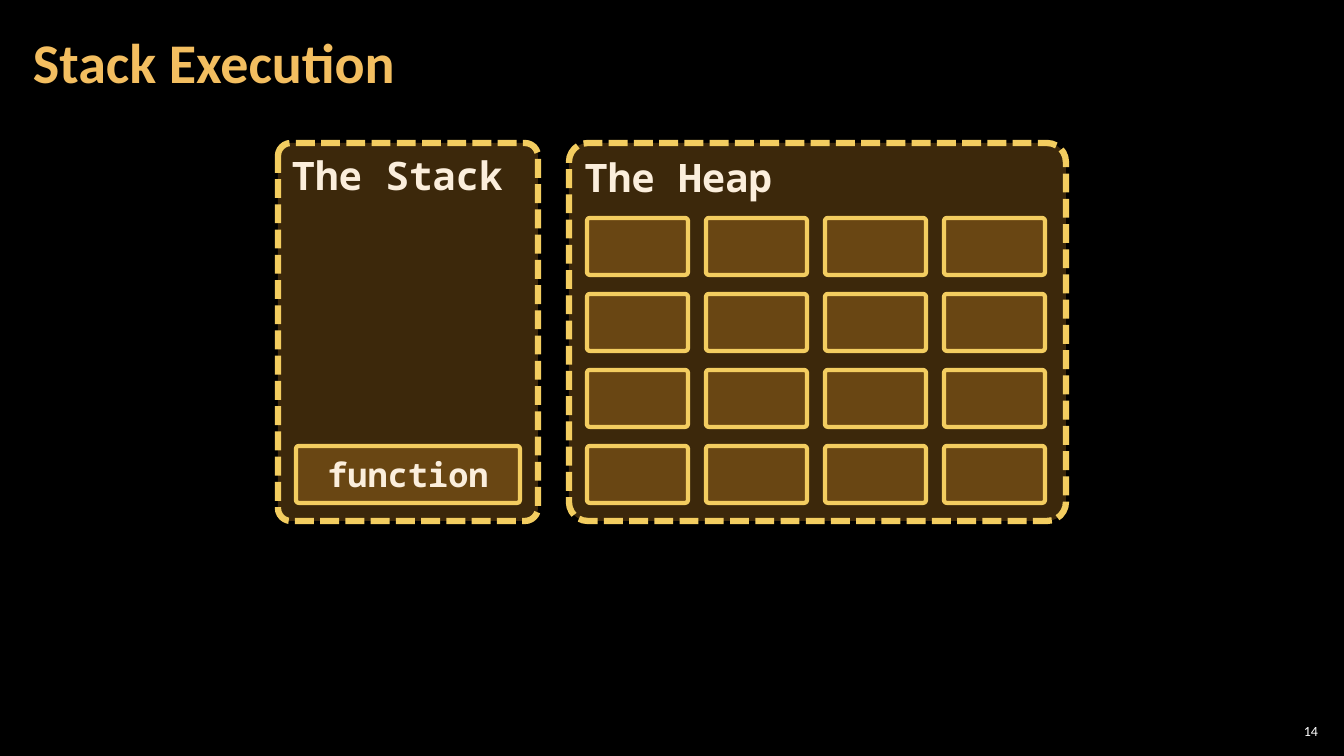
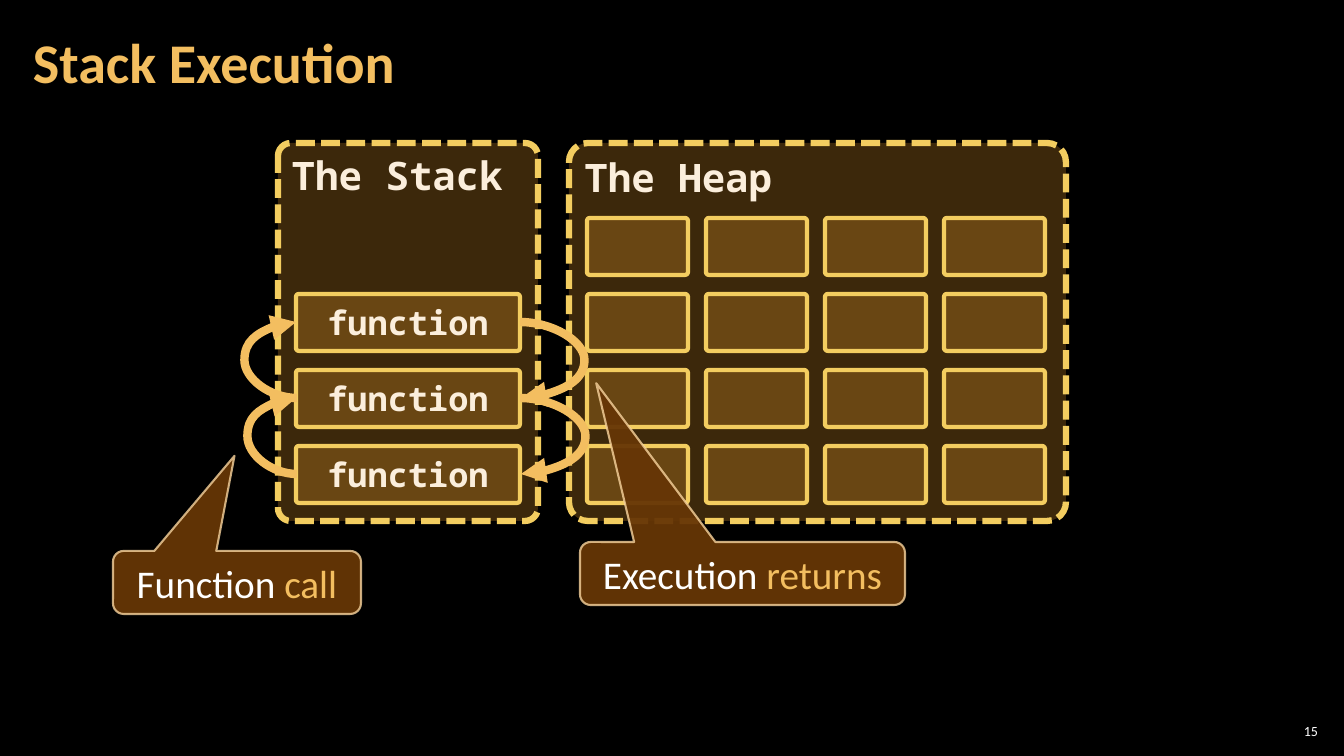
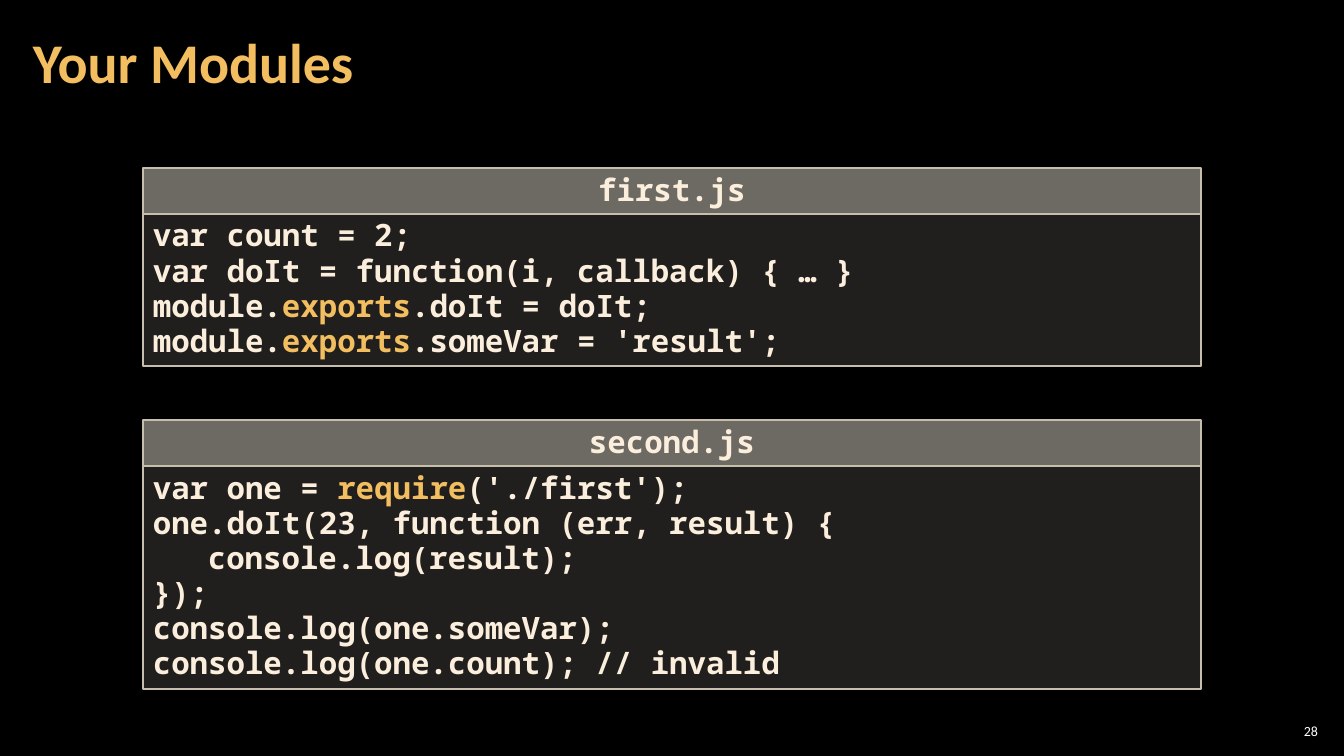
import pptx
import pptx.dml.color
import pptx.enum.dml
import pptx.enum.shapes
import pptx.enum.text
import pptx.oxml.ns
import pptx.util
from lxml import etree

RGB = pptx.dml.color.RGBColor
Pt = pptx.util.Pt
KIND = pptx.enum.shapes.MSO_SHAPE
ALIGN = pptx.enum.text.PP_ALIGN
ANCHOR = pptx.enum.text.MSO_ANCHOR
FIT = pptx.enum.text.MSO_AUTO_SIZE
qn = pptx.oxml.ns.qn

BLACK = RGB(0x00, 0x00, 0x00)
WHITE = RGB(0xFF, 0xFF, 0xFF)
GOLD = RGB(0xF3, 0xBE, 0x60)
CREAM = RGB(0xFB, 0xEE, 0xDC)
AMBER = RGB(0xF0, 0xA2, 0x2E)
YELLOW = RGB(0xF3, 0xCD, 0x60)
BROWN = RGB(0x66, 0x36, 0x06)
SAND = RGB(0xF8, 0xD4, 0x9E)
STONE = RGB(0xD9, 0xD5, 0xC7)
EDGE = RGB(0xC7, 0xBF, 0xAC)

SANS = "Calibri"
MONO = "Noto Sans Mono"

WIDE, HIGH = 1344, 756
SCALE = 12192000 / WIDE

# Memory grid, in px
ROW_TOP, ROW_STEP, BOX_HIGH = 218, 76, 57
COL_LEFT, COL_STEP, CELL_WIDE = 587, 119, 101
CALL_LEFT, CALL_WIDE = 296, 224
ROWS = COLS = 4

FIRST = [
    ("var count = 2;",),
    ("var doIt = function(i, callback) { … }",),
    ("module.", "exports", ".doIt = doIt;"),
    ("module.", "exports", ".someVar = 'result';"),
]
SECOND = [
    ("var one = ", "require", "('./first');"),
    ("one.doIt(23, function (err, result) {",),
    ("console.log(result);",),
    ("});",),
    ("console.log(one.someVar);",),
    ("console.log(one.count); // invalid",),
]


def px(num):
    return round(num * SCALE)


def box(*sizes):
    return [px(num) for num in sizes]


def fade(node, share):
    """Set the opacity, in percent, of the colours inside node."""
    for tint in node.iter(qn("a:srgbClr")):
        etree.SubElement(tint, qn("a:alpha"), val=str(share * 1000))


def write(frame, lines, font, size, color, bold=False, align=ALIGN.LEFT, space=None):
    """Write each line from its pieces; every second piece is gold."""
    for row, line in enumerate(lines):
        para = frame.paragraphs[0] if row == 0 else frame.add_paragraph()
        para.alignment = align
        if space:
            para.line_spacing = space
        for spot, piece in enumerate(line):
            run = para.add_run()
            run.text = piece
            run.font.name = font
            run.font.size = Pt(size)
            run.font.bold = bold
            run.font.color.rgb = GOLD if spot % 2 else color


def inset(frame, side, top):
    frame.margin_left = frame.margin_right = px(side)
    frame.margin_top = frame.margin_bottom = px(top)


def panel(slide, kind, place, fill, share, edge, width, bends=()):
    shape = slide.shapes.add_shape(kind, *box(*place))
    shape.shadow.inherit = False
    shape.fill.solid()
    shape.fill.fore_color.rgb = fill
    fade(shape._element.spPr.find(qn("a:solidFill")), share)
    shape.line.color.rgb = edge
    shape.line.width = Pt(width)
    for spot, bend in enumerate(bends):
        shape.adjustments[spot] = bend
    shape.text_frame.vertical_anchor = ANCHOR.TOP
    return shape


def region(slide, left, wide, name):
    place = (left, 143, wide, 378)
    shape = panel(slide, KIND.ROUNDED_RECTANGLE, place, AMBER, 25, YELLOW, 4.5, [0.05])
    shape.line.dash_style = pptx.enum.dml.MSO_LINE.SQUARE_DOT
    write(shape.text_frame, [(name,)], MONO, 28, CREAM, True)


def slot(slide, left, row, wide):
    place = (left, ROW_TOP + row * ROW_STEP, wide, BOX_HIGH)
    return panel(slide, KIND.ROUNDED_RECTANGLE, place, AMBER, 25, YELLOW, 3, [0.05])


def memory(slide, calls):
    """Draw the heap and a stack that holds the given number of calls."""
    region(slide, 278, 260, "The Stack")
    for row in range(ROWS - calls, ROWS):
        frame = slot(slide, CALL_LEFT, row, CALL_WIDE).text_frame
        frame.vertical_anchor = ANCHOR.MIDDLE
        write(frame, [("function",)], MONO, 24, CREAM, True, ALIGN.CENTER)
    region(slide, 569, 497, "The Heap")
    for row in range(ROWS):
        for col in range(COLS):
            slot(slide, COL_LEFT + col * COL_STEP, row, CELL_WIDE)


def callout(slide, place, tip, pieces):
    shape = panel(slide, KIND.ROUNDED_RECTANGULAR_CALLOUT, place,
                  BROWN, 95, SAND, 1.5, [*tip, 0.17])
    fade(shape._element.spPr.find(qn("a:ln")), 80)
    frame = shape.text_frame
    frame.word_wrap = False
    frame.auto_size = FIT.NONE
    frame.vertical_anchor = ANCHOR.MIDDLE
    inset(frame, 10, 5)
    write(frame, [pieces], SANS, 28, WHITE, align=ALIGN.CENTER)


def loop(slide, left, row, bulge, back=False):
    """Curve from one call to the next below, or back up when turned."""
    top = ROW_TOP + row * ROW_STEP + BOX_HIGH // 2
    ends = box(left, top, left + 1, top + ROW_STEP)
    curve = slide.shapes.add_connector(pptx.enum.shapes.MSO_CONNECTOR.CURVE, *ends)
    curve.line.color.rgb = GOLD
    curve.line.width = Pt(6)
    props = curve._element.spPr
    if back:
        props.find(qn("a:xfrm")).set("rot", "10800000")
    geom = props.find(qn("a:prstGeom"))
    guides = geom.find(qn("a:avLst"))
    if guides is None:
        guides = etree.SubElement(geom, qn("a:avLst"))
    etree.SubElement(guides, qn("a:gd"), name="adj1", fmla=f"val {bulge * 100000}")
    etree.SubElement(props.find(qn("a:ln")), qn("a:tailEnd"), type="triangle")
    etree.SubElement(props, qn("a:effectLst"))


def module(slide, top, name, lines, high):
    """Draw a file's code below a bar with its name."""
    left, wide, bar = 143, 1058, 46
    parts = [
        (top + bar, high, 15, lines, ALIGN.LEFT),
        (top, bar, 50, [(name,)], ALIGN.CENTER),
    ]
    frames = []
    for start, tall, share, text, align in parts:
        shape = panel(slide, KIND.RECTANGLE, (left, start, wide, tall),
                      STONE, share, EDGE, 1)
        frame = shape.text_frame
        frame.auto_size = FIT.SHAPE_TO_FIT_TEXT
        write(frame, text, MONO, 22, CREAM, True, align, 0.95)
        frames.append(frame)
    return frames[0]


def page(deck, title, number):
    slide = deck.slides.add_slide(deck.slide_layouts[5])
    head = slide.shapes.title
    head.left, head.top, head.width, head.height = box(21, 4, 1055, 122)
    frame = head.text_frame
    frame.vertical_anchor = ANCHOR.MIDDLE
    frame.auto_size = FIT.NONE
    inset(frame, 12, 4)
    write(frame, [(title,)], SANS, 40, GOLD, True, space=0.9)

    frame = slide.shapes.add_textbox(*box(1275, 720, 47, 21)).text_frame
    frame.word_wrap = True
    frame.vertical_anchor = ANCHOR.MIDDLE
    inset(frame, 4, 4)
    write(frame, [(str(number),)], SANS, 10, WHITE, align=ALIGN.RIGHT)
    return slide


def main():
    deck = pptx.Presentation()
    deck.slide_width, deck.slide_height = box(WIDE, HIGH)
    back = deck.slide_master.background.fill
    back.solid()
    back.fore_color.rgb = BLACK

    memory(page(deck, "Stack Execution", 14), 1)

    slide = page(deck, "Stack Execution", 15)
    memory(slide, 3)
    callout(slide, (113, 551, 248, 63), (-0.01, -2.01), ("Function ", "call"))
    loop(slide, CALL_LEFT, 2, 50, True)
    loop(slide, CALL_LEFT, 1, 53, True)
    callout(slide, (580, 542, 325, 63), (-0.45, -3.02), ("Execution ", "returns"))
    right = CALL_LEFT + CALL_WIDE
    loop(slide, right, 1, 65)
    loop(slide, right, 2, 66)

    slide = page(deck, "Your Modules", 28)
    module(slide, 168, "first.js", FIRST, 152)
    code = module(slide, 420, "second.js", SECOND, 223)
    body = code.paragraphs[2]._p.get_or_add_pPr()
    body.set("marL", str(px(55)))
    body.set("indent", "0")

    deck.save("out.pptx")


if __name__ == "__main__":
    main()
